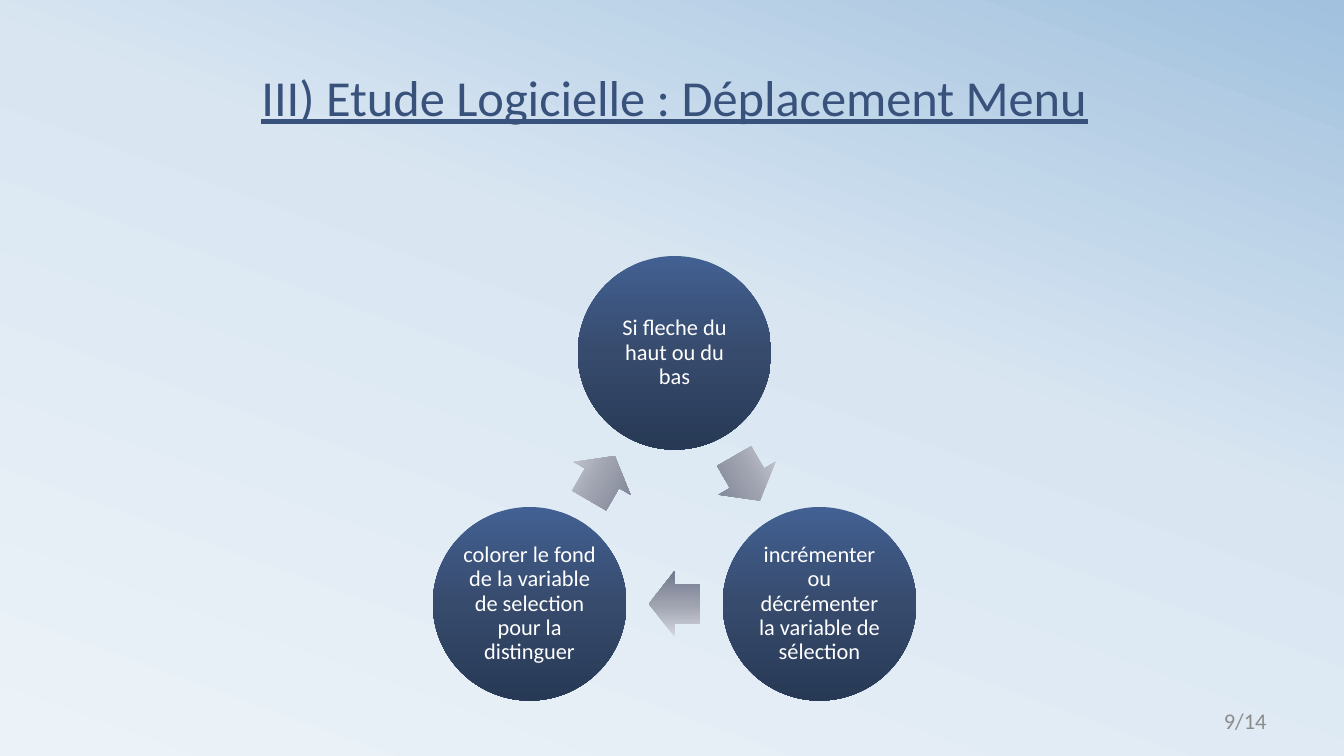
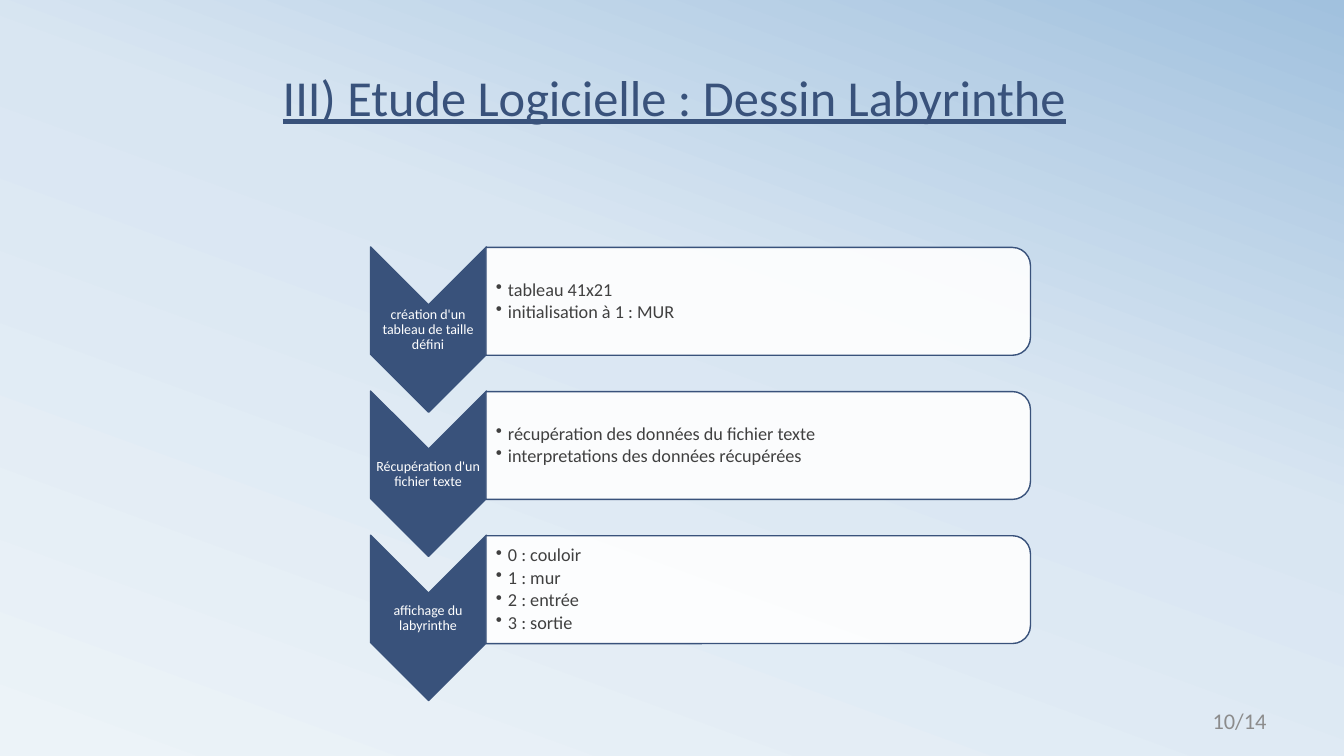
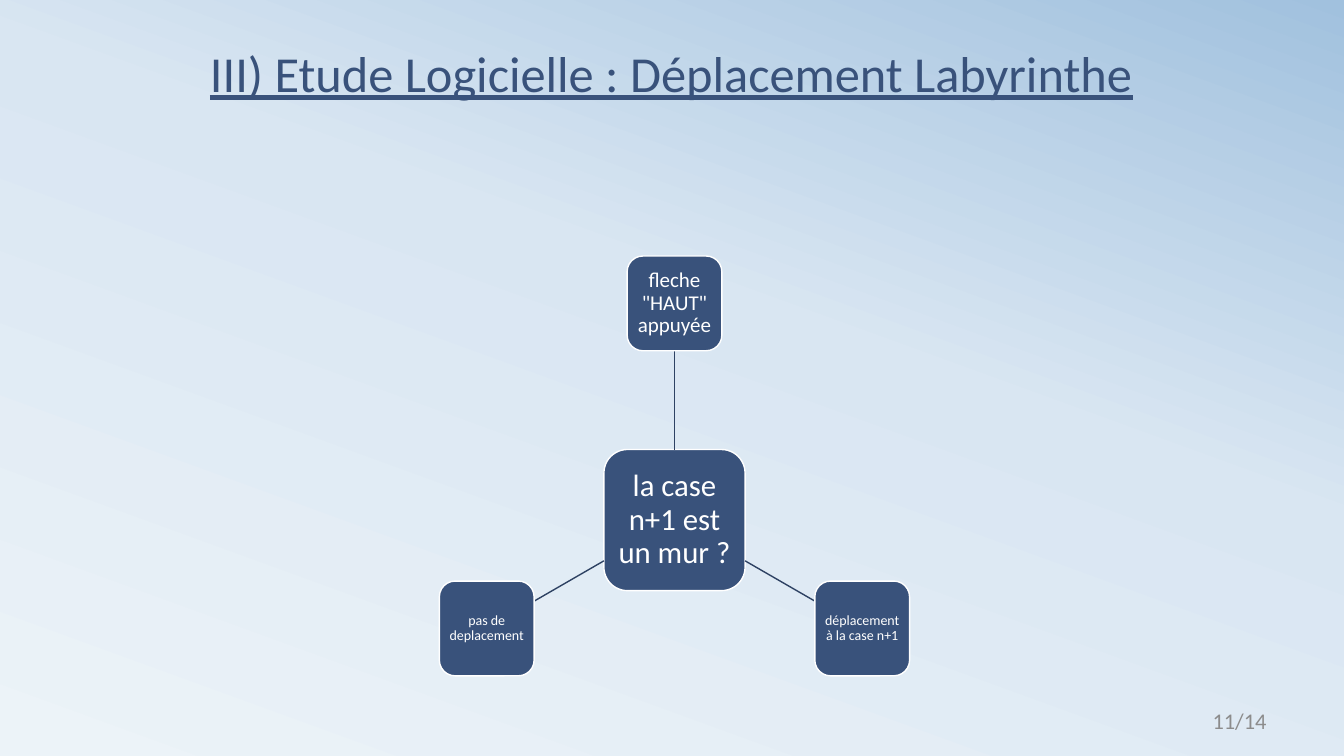
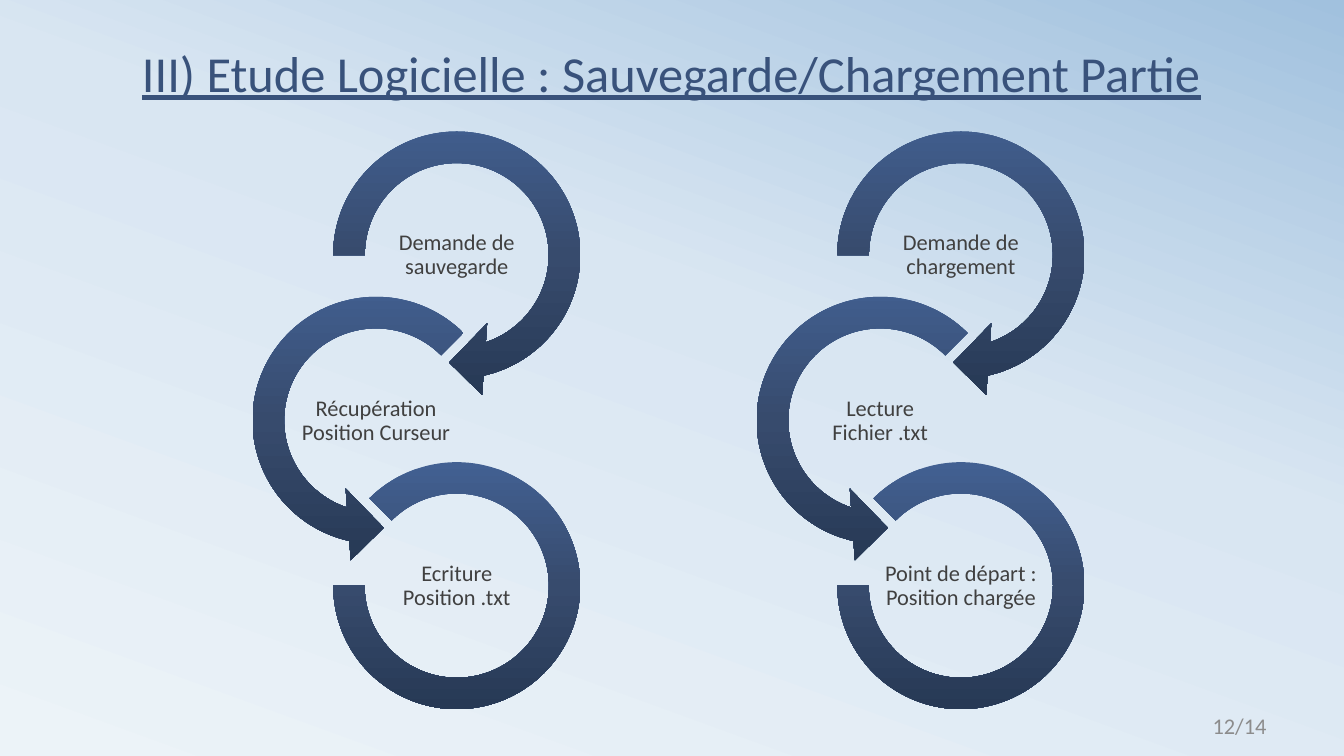
from math import cos, sin, radians
from lxml.etree import SubElement
from pptx import Presentation
from pptx.dml.color import RGBColor
from pptx.enum.shapes import MSO_CONNECTOR, MSO_SHAPE as SHAPE
from pptx.enum.text import MSO_ANCHOR, MSO_AUTO_SIZE, PP_ALIGN
from pptx.oxml.ns import qn
from pptx.util import Inches, Pt

FONT = "Calibri"
NAVY, WHITE, DARK, GREY, SPOKE = "39527B", "FFFFFF", "404040", "8C8C8C", "2E4263"
BACKGROUND = [(0, "ECF3F8"), (58, "D9E6F2"), (100, "A1C1DE")]
BLUE_FADE = [(0, "426092"), (50, "374B6D"), (100, "273955")]
GREY_FADE = [(0, "D3D6DC"), (50, "9EA2AF"), (100, "70788C")]

PREFIX = "III) Etude Logicielle : "
CENTER_X, CENTER_Y = 6.69, 5.16
ANGLES = [-90, 30, 150]

MENU_STEPS = [
    "Si fleche du haut ou du bas",
    "incrémenter ou décrémenter la variable de sélection",
    "colorer le fond de la variable de selection pour la distinguer",
]
MAZE_STEPS = [
    ("création d'un tableau de taille défini",
     ["tableau 41x21", "initialisation à 1 : MUR"]),
    ("Récupération d'un fichier texte",
     ["récupération des données du fichier texte",
      "interpretations des données récupérées"]),
    ("affichage du labyrinthe",
     ["0 : couloir", "1 : mur", "2 : entrée", "3 : sortie"]),
]
HUB = "la case n+1 est un mur ?"
BRANCHES = [
    ('fleche "HAUT" appuyée', 15, 0.04),
    ("déplacement à la case n+1", 10, 0.03),
    ("pas de deplacement", 10, 0.03),
]
FLOWS = [
    (4.53, ["Demande de sauvegarde", "Récupération Position Curseur",
            "Ecriture Position .txt"]),
    (9.53, ["Demande de chargement", "Lecture Fichier .txt",
            "Point de départ : Position chargée"]),
]
LOOPS = [
    (SHAPE.CIRCULAR_ARROW, 0, 2.85, [0.11, 11.423, 45, 108, 0.125]),
    (SHAPE.LEFT_CIRCULAR_ARROW, -0.8, 2.85, [0.11, 11.423, 63, 189, 0.125]),
    (SHAPE.BLOCK_ARC, 0, 2.45, [135, 108, 0.127]),
]


def rgb(value):
    return RGBColor.from_string(value)


def fade(element, fill, stops, angle):
    fill.gradient()
    fill.gradient_angle = 360 - angle
    stop_list = next(element.iter(qn("a:gsLst")))
    for old in list(stop_list):
        stop_list.remove(old)
    for pos, color in stops:
        stop = SubElement(stop_list, qn("a:gs"), pos=str(pos * 1000))
        SubElement(stop, qn("a:srgbClr"), val=color)


def setup_frame(tf, anchor, insets=None):
    tf.word_wrap = True
    tf.auto_size = MSO_AUTO_SIZE.NONE
    tf.vertical_anchor = anchor
    if insets:
        tf.margin_left, tf.margin_top, tf.margin_right, tf.margin_bottom = map(Inches, insets)


def write(p, text, size, color, align=PP_ALIGN.CENTER, spacing=0.9):
    p.alignment = align
    p.line_spacing = spacing
    r = p.add_run()
    r.text = text
    r.font.name = FONT
    r.font.size = Pt(size)
    r.font.color.rgb = rgb(color)
    return r


def bullet(p):
    pPr = p._p.get_or_add_pPr()
    pPr.set("marL", str(Inches(0.12)))
    pPr.set("indent", str(Inches(-0.12)))
    SubElement(pPr, qn("a:buChar"), char="•")


def add_text(slide, box, text, size, color, insets=None, align=PP_ALIGN.CENTER, spacing=0.9):
    tf = slide.shapes.add_textbox(*map(Inches, box)).text_frame
    setup_frame(tf, MSO_ANCHOR.MIDDLE, insets)
    write(tf.paragraphs[0], text, size, color, align, spacing)


def add_shape(slide, kind, cx, cy, w, h, fill, line=None, rotation=0, adj=()):
    sp = slide.shapes.add_shape(kind, *map(Inches, (cx - w / 2, cy - h / 2, w, h)))
    sp.shadow.inherit = False
    sp.rotation = rotation
    for i, value in enumerate(adj):
        sp.adjustments[i] = value
    if isinstance(fill, list):
        fade(sp._element, sp.fill, fill, 90)
    else:
        sp.fill.solid()
        sp.fill.fore_color.rgb = rgb(fill)
    if line:
        sp.line.color.rgb = rgb(line)
        sp.line.width = Pt(1)
    else:
        sp.line.fill.background()
    return sp


def label(sp, text, size, inset):
    setup_frame(sp.text_frame, MSO_ANCHOR.MIDDLE, [inset] * 4)
    write(sp.text_frame.paragraphs[0], text, size, WHITE)


def polar(radius, angle):
    return (CENTER_X + radius * cos(radians(angle)),
            CENTER_Y + radius * sin(radians(angle)))


def edge_distance(half, angle):
    return half / max(abs(cos(radians(angle))), abs(sin(radians(angle))))


def new_slide(prs, title, page, left, top, page_top=6.95):
    slide = prs.slides.add_slide(prs.slide_layouts[5])
    sp = slide.shapes.title
    sp.left, sp.top, sp.width, sp.height = map(Inches, (left, top, 12, 0.87))
    setup_frame(sp.text_frame, MSO_ANCHOR.BOTTOM)
    write(sp.text_frame.paragraphs[0], PREFIX + title, 36, NAVY).font.underline = True
    add_text(slide, (9.55, page_top, 3.11, 0.4), f"{page}/14", 16, GREY,
             align=PP_ALIGN.RIGHT, spacing=1)
    return slide


def menu_slide(prs):
    slide = new_slide(prs, "Déplacement Menu", 9, 0.69, 0.44)
    radius = 1.66
    for text, angle in zip(MENU_STEPS, ANGLES):
        sp = add_shape(slide, SHAPE.OVAL, *polar(radius, angle), 1.92, 1.92, BLUE_FADE)
        label(sp, text, 16, 0.02)
        add_shape(slide, SHAPE.RIGHT_ARROW, *polar(radius / 2, angle + 60), 0.51, 0.65,
                  GREY_FADE, rotation=angle + 150, adj=[0.6, 0.5])


def maze_slide(prs):
    slide = new_slide(prs, "Dessin Labyrinthe", 10, 0.69, 0.44)
    for i, (step, details) in enumerate(MAZE_STEPS):
        y = 2.99 + 1.43 * i
        add_shape(slide, SHAPE.CHEVRON, 4.25, y + 0.28, 1.64, 1.15, NAVY, NAVY, 90)
        add_text(slide, (3.67, y + 0.04, 1.15, 0.49), step, 10, WHITE, [0.01] * 4)
        panel = add_shape(slide, SHAPE.ROUND_2_SAME_RECTANGLE, 7.52, y, 1.07, 5.4,
                          WHITE, NAVY, 90)
        color = panel._element.spPr.find(qn("a:solidFill"))[0]
        SubElement(color, qn("a:alpha"), val="90000")
        box = map(Inches, (4.82, y - 0.48, 5.34, 0.96))
        tf = slide.shapes.add_textbox(*box).text_frame
        setup_frame(tf, MSO_ANCHOR.MIDDLE, (0.1, 0.01, 0.01, 0.01))
        for j, detail in enumerate(details):
            p = tf.add_paragraph() if j else tf.paragraphs[0]
            bullet(p)
            p.space_after = Pt(2)
            write(p, detail, 13, DARK, PP_ALIGN.LEFT)


def move_slide(prs):
    slide = new_slide(prs, "Déplacement Labyrinthe", 11, 0.66, 0.21)
    hub, node, radius = 1.4, 0.94, 2.15
    sp = add_shape(slide, SHAPE.ROUNDED_RECTANGLE, CENTER_X, CENTER_Y, hub, hub, NAVY, WHITE)
    label(sp, HUB, 22, 0.06)
    for (text, size, inset), angle in zip(BRANCHES, ANGLES):
        start = polar(edge_distance(hub / 2, angle), angle)
        end = polar(radius - edge_distance(node / 2, angle), angle)
        line = slide.shapes.add_connector(MSO_CONNECTOR.STRAIGHT, *map(Inches, start + end))
        line.line.color.rgb = rgb(SPOKE)
        line.line.width = Pt(1)
        SubElement(line._element.spPr, qn("a:effectLst"))
        sp = add_shape(slide, SHAPE.ROUNDED_RECTANGLE, *polar(radius, angle), node, node,
                       NAVY, WHITE)
        label(sp, text, size, inset)


def save_slide(prs):
    slide = new_slide(prs, "Sauvegarde/Chargement Partie", 12, 0.66, 0.21, 7)
    for x, steps in FLOWS:
        for i, (text, (kind, shift, size, adj)) in enumerate(zip(steps, LOOPS)):
            cx, cy = x + shift, 2.53 + 1.64 * i
            add_shape(slide, kind, cx, cy, size, size, BLUE_FADE, adj=adj)
            add_text(slide, (cx - 0.79, cy - 0.39, 1.58, 0.79), text, 16, DARK, [0.01] * 4)


def main():
    prs = Presentation()
    prs.slide_width, prs.slide_height = Inches(13.33), Inches(7.5)
    master = prs.slide_master
    fade(master._element, master.background.fill, BACKGROUND, 290)
    for build in (menu_slide, maze_slide, move_slide, save_slide):
        build(prs)
    prs.save("out.pptx")


if __name__ == "__main__":
    main()
